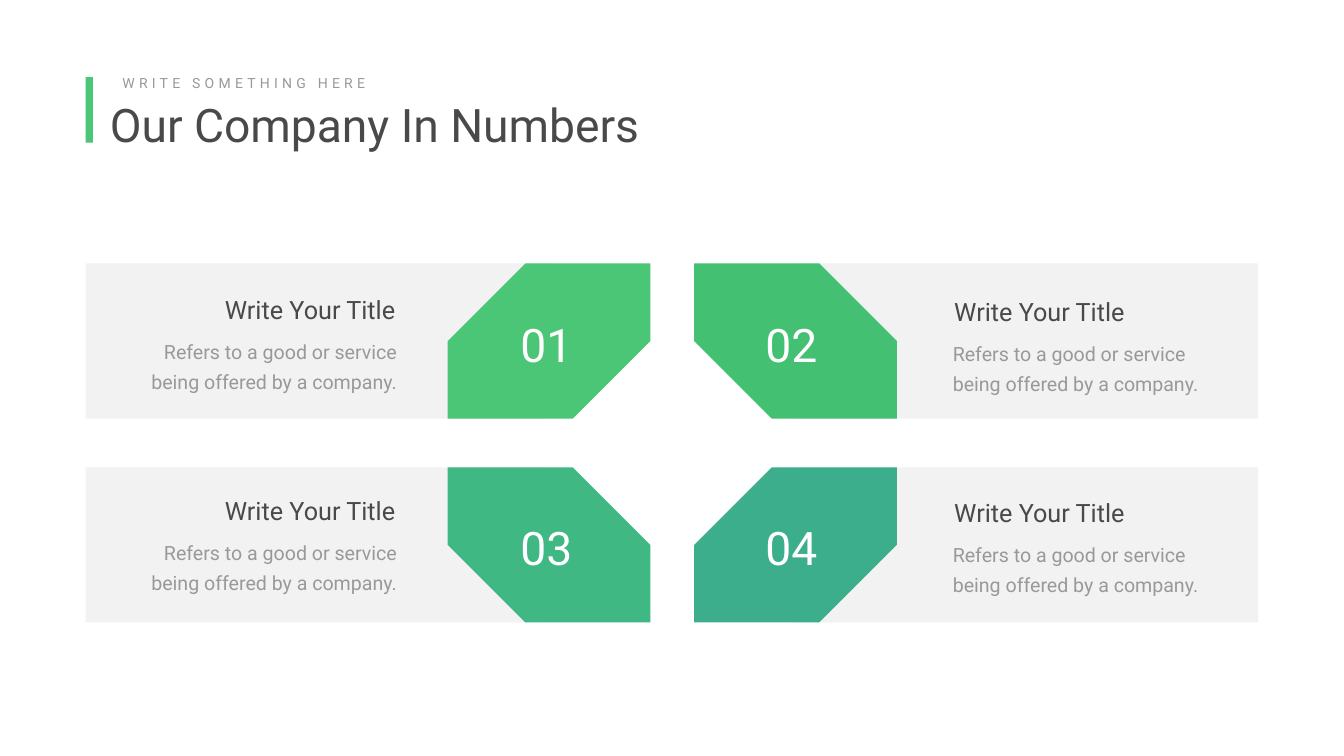
from lxml.etree import SubElement
from pptx import Presentation
from pptx.dml.color import RGBColor
from pptx.enum.shapes import MSO_SHAPE
from pptx.enum.text import MSO_ANCHOR, PP_ALIGN
from pptx.oxml.ns import qn
from pptx.util import Cm, Pt

COLORS = {
    "title": "494949",
    "muted": "999999",
    "accent": "4BC676",
    "panel": "808080",
    "number": "FFFFFF",
}
PANEL_WIDTH, PANEL_HEIGHT = 23.22, 7.82
BADGE_WIDTH = 10.21


def add_block(kind, left, top, width, height, color):
    shape = slide.shapes.add_shape(kind, Cm(left), Cm(top), Cm(width), Cm(height))
    shape.shadow.inherit = False
    shape.fill.solid()
    shape.fill.fore_color.rgb = RGBColor.from_string(color)
    shape.line.fill.background()
    return shape


def write_text(shape, text, left, top, width, height, size, color, align=PP_ALIGN.LEFT):
    shape.left, shape.top, shape.width, shape.height = Cm(left), Cm(top), Cm(width), Cm(height)
    frame = shape.text_frame
    frame.word_wrap = True
    frame.vertical_anchor = MSO_ANCHOR.TOP
    frame.text = text
    paragraph = frame.paragraphs[0]
    paragraph.alignment = align
    paragraph.font.name = "Roboto"
    paragraph.font.size = Pt(size)
    paragraph.font.color.rgb = RGBColor.from_string(COLORS[color])
    return frame


presentation = Presentation()
presentation.slide_width, presentation.slide_height = Cm(67.72), Cm(38.1)
slide = presentation.slides.add_slide(presentation.slide_layouts[5])

write_text(slide.shapes.title, "Our Company In Numbers", 5.28, 4.72, 28.85, 3.07, 66, "title")
subtitle = write_text(slide.shapes.add_textbox(0, 0, 0, 0), "WRITE SOMETHING HERE",
                      5.92, 3.61, 15.14, 1.12, 20, "muted")
subtitle.paragraphs[0].runs[0].font._element.set("spc", "600")
add_block(MSO_SHAPE.RECTANGLE, 4.32, 3.89, 0.36, 3.3, COLORS["accent"])

columns = [
    {"panel": 4.32, "badge": 22.56, "number": 25.32, "title": 6.25, "body": 6.25,
     "text_top": 14.71, "align": PP_ALIGN.RIGHT},
    {"panel": 40.18, "badge": 34.98, "number": 37.67, "title": 47.83, "body": 47.4,
     "text_top": 14.81, "align": PP_ALIGN.LEFT},
]
badge_colors = ["4BC676", "43C072", "40B884", "3CAE8C"]

for index, badge_color in enumerate(badge_colors):
    row, column_index = divmod(index, 2)
    column = columns[column_index]
    top = 13.28 + row * 10.27
    text_top = column["text_top"] + row * 10.12

    panel = add_block(MSO_SHAPE.RECTANGLE, column["panel"], top, PANEL_WIDTH, PANEL_HEIGHT, COLORS["panel"])
    panel_color = panel.fill._xPr.find(qn("a:solidFill"))[0]
    SubElement(panel_color, qn("a:alpha")).set("val", "10000")

    badge = add_block(MSO_SHAPE.SNIP_2_DIAG_RECTANGLE, column["badge"], top, BADGE_WIDTH, PANEL_HEIGHT, badge_color)
    cuts_top_left = row == column_index
    badge.adjustments[0] = 0.5 if cuts_top_left else 0
    badge.adjustments[1] = 0 if cuts_top_left else 0.5

    write_text(slide.shapes.add_textbox(0, 0, 0, 0), f"{index + 1:02}",
               column["number"], 15.82 + row * 10.24, 4.42, 3.07, 66, "number", PP_ALIGN.CENTER)
    write_text(slide.shapes.add_textbox(0, 0, 0, 0), "Write Your Title",
               column["title"], text_top, 13.92, 1.8, 36, "title", column["align"])
    body = write_text(slide.shapes.add_textbox(0, 0, 0, 0),
                      "Refers to a good or service being offered by a company.",
                      column["body"], text_top + 1.8, 14.35, 3.53, 28, "muted", column["align"])
    body.margin_left = body.margin_right = Cm(0.61)
    body.margin_top = body.margin_bottom = Cm(0.3)
    body.paragraphs[0].line_spacing = Pt(43)

presentation.save("out.pptx")
